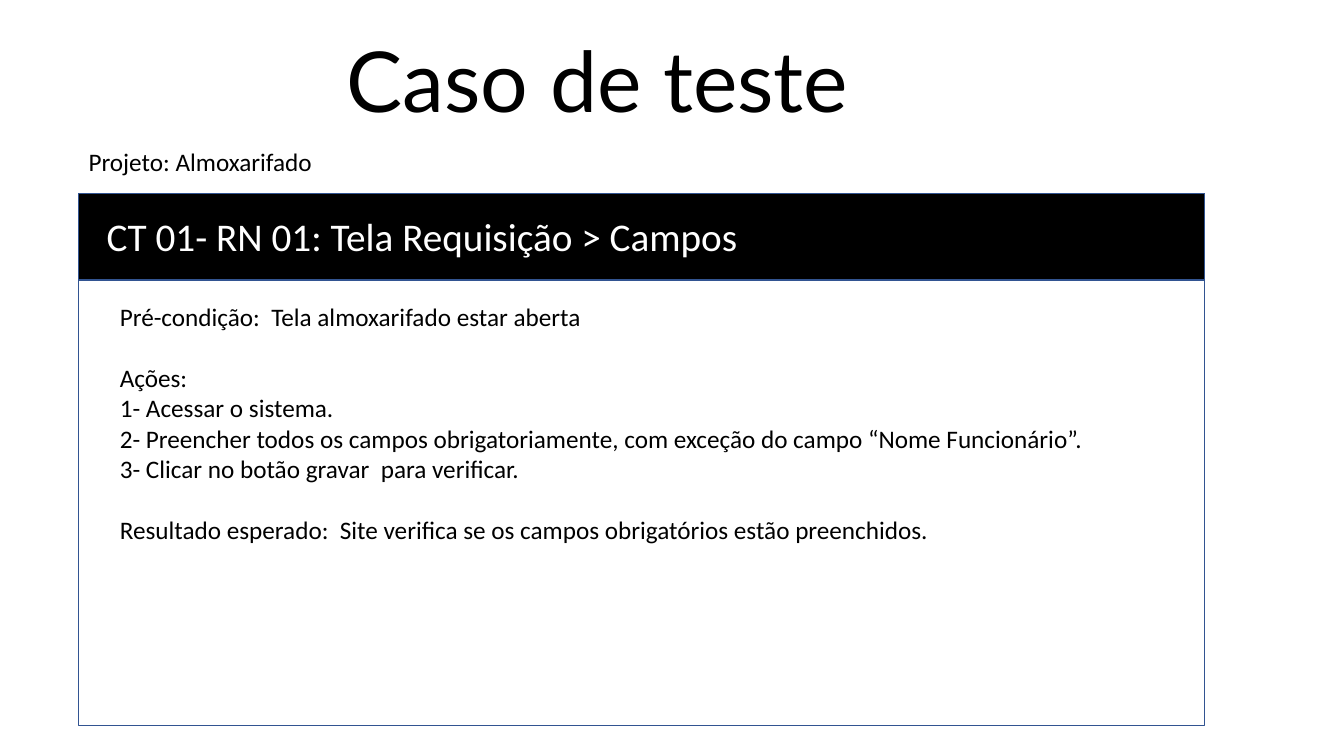
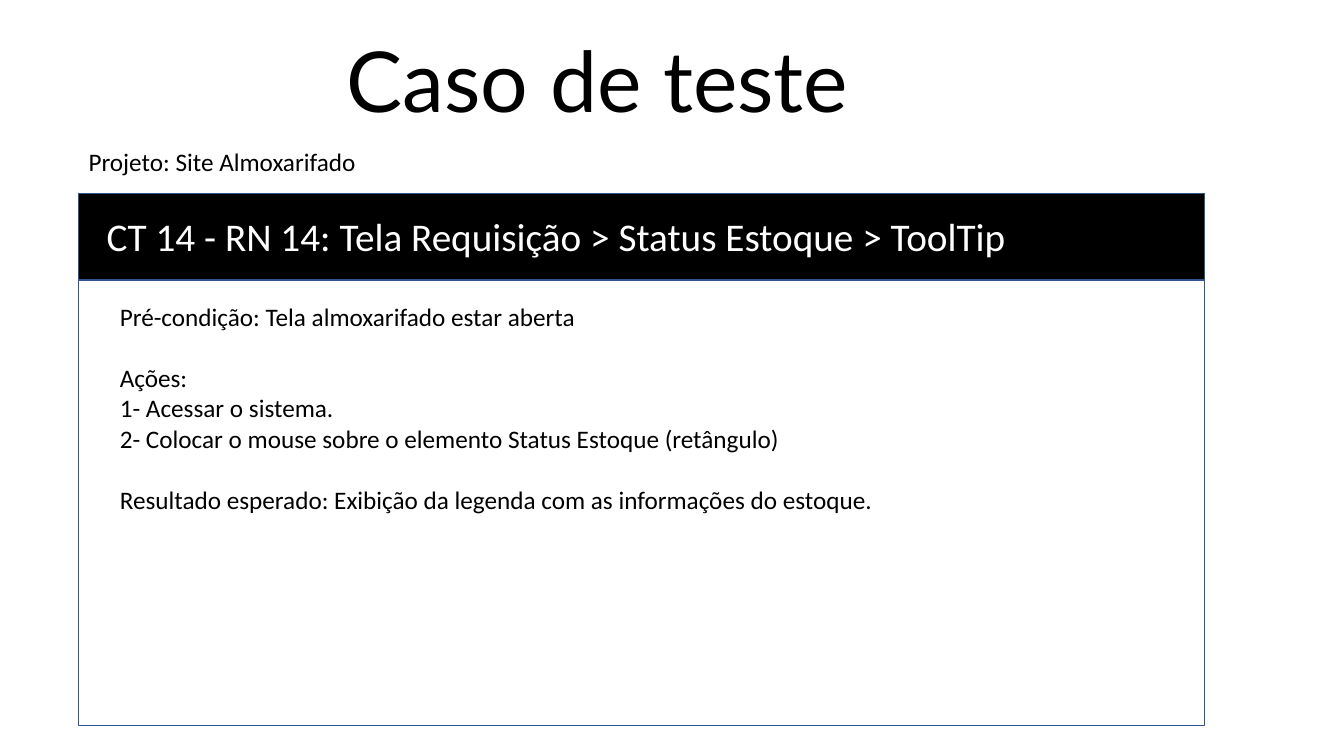
from pptx import Presentation
from pptx.dml.color import RGBColor
from pptx.enum.shapes import MSO_SHAPE as Shape
from pptx.enum.text import MSO_ANCHOR as Anchor, PP_ALIGN as Align
from pptx.util import Inches, Pt

COLORS = {"text": "000000", "band": "000000", "card": "FFFFFF",
          "band_text": "FFFFFF", "outline": "325491"}
TITLE_FONT, BODY_FONT = "Lato", "Calibri"
BODY_SIZE = 18
GROUP_GAP = 22  # one body line, in points

CARD_BOX = (0.78, 1.92, 11.17, 5.28)
BAND_HEIGHT = 0.86

# Each case holds groups of lines, set apart by a gap
CASES = [
    {
        "project": "Projeto: Almoxarifado",
        "heading": "CT 01- RN 01: Tela Requisição > Campos",
        "groups": [
            ["Pré-condição:  Tela almoxarifado estar aberta"],
            ["Ações:",
             "1- Acessar o sistema.",
             "2- Preencher todos os campos obrigatoriamente, com exceção "
             "do campo “Nome Funcionário”.",
             "3- Clicar no botão gravar  para verificar."],
            ["Resultado esperado:  Site verifica se os campos obrigatórios "
             "estão preenchidos."],
        ],
    },
    {
        "project": "Projeto: Site Almoxarifado",
        "heading": "CT 14 - RN 14: Tela Requisição > Status Estoque > ToolTip",
        "groups": [
            ["Pré-condição: Tela almoxarifado estar aberta"],
            ["Ações:",
             "1- Acessar o sistema.",
             "2- Colocar o mouse sobre o elemento Status Estoque (retângulo)"],
            ["Resultado esperado: Exibição da legenda com as informações "
             "do estoque."],
        ],
    },
]


def add_text(slide, box, groups, size=BODY_SIZE, font=BODY_FONT, color="text",
             anchor=Anchor.TOP, line_spacing=1.0):
    """Write groups of lines in a text box, with a gap before each new group."""
    frame = slide.shapes.add_textbox(*map(Inches, box)).text_frame
    frame.word_wrap = True
    frame.vertical_anchor = anchor
    paragraph = None
    for group in groups:
        for index, line in enumerate(group):
            starts_group = paragraph is not None and index == 0
            paragraph = (frame.paragraphs[0] if paragraph is None
                         else frame.add_paragraph())
            paragraph.alignment = Align.LEFT
            paragraph.line_spacing = line_spacing
            paragraph.space_before = Pt(GROUP_GAP if starts_group else 0)
            run = paragraph.add_run()
            run.text = line
            run.font.name = font
            run.font.size = Pt(size)
            run.font.color.rgb = RGBColor.from_string(COLORS[color])


def add_panel(slide, box, fill):
    shape = slide.shapes.add_shape(Shape.RECTANGLE, *map(Inches, box))
    shape.shadow.inherit = False
    shape.fill.solid()
    shape.fill.fore_color.rgb = RGBColor.from_string(COLORS[fill])
    shape.line.color.rgb = RGBColor.from_string(COLORS["outline"])
    shape.line.width = Pt(1)


def add_header(slide, project):
    add_text(slide, (3.34, 0.12, 5.98, 1.45), [["Caso de teste"]], size=60,
             font=TITLE_FONT, anchor=Anchor.MIDDLE, line_spacing=0.9)
    add_text(slide, (0.78, 1.4, 4.21, 0.4), [[project]])


def add_card(slide, box, heading, groups):
    left, top, width, height = box
    # Frame and heading band
    add_panel(slide, box, "card")
    add_panel(slide, (left, top, width, BAND_HEIGHT), "band")
    # Steps and heading
    add_text(slide, (left + 0.31, top + 1.02, width - 0.6, 2.52), groups)
    add_text(slide, (left + 0.18, top + 0.14, width - 0.6, 0.57), [[heading]],
             size=28, color="band_text")


def build_case_slide(presentation, case):
    slide = presentation.slides.add_slide(presentation.slide_layouts[6])
    add_header(slide, case["project"])
    add_card(slide, CARD_BOX, case["heading"], case["groups"])


def main():
    presentation = Presentation()
    presentation.slide_width = Inches(13.33)
    presentation.slide_height = Inches(7.5)
    for case in CASES:
        build_case_slide(presentation, case)
    presentation.save("out.pptx")


if __name__ == "__main__":
    main()
